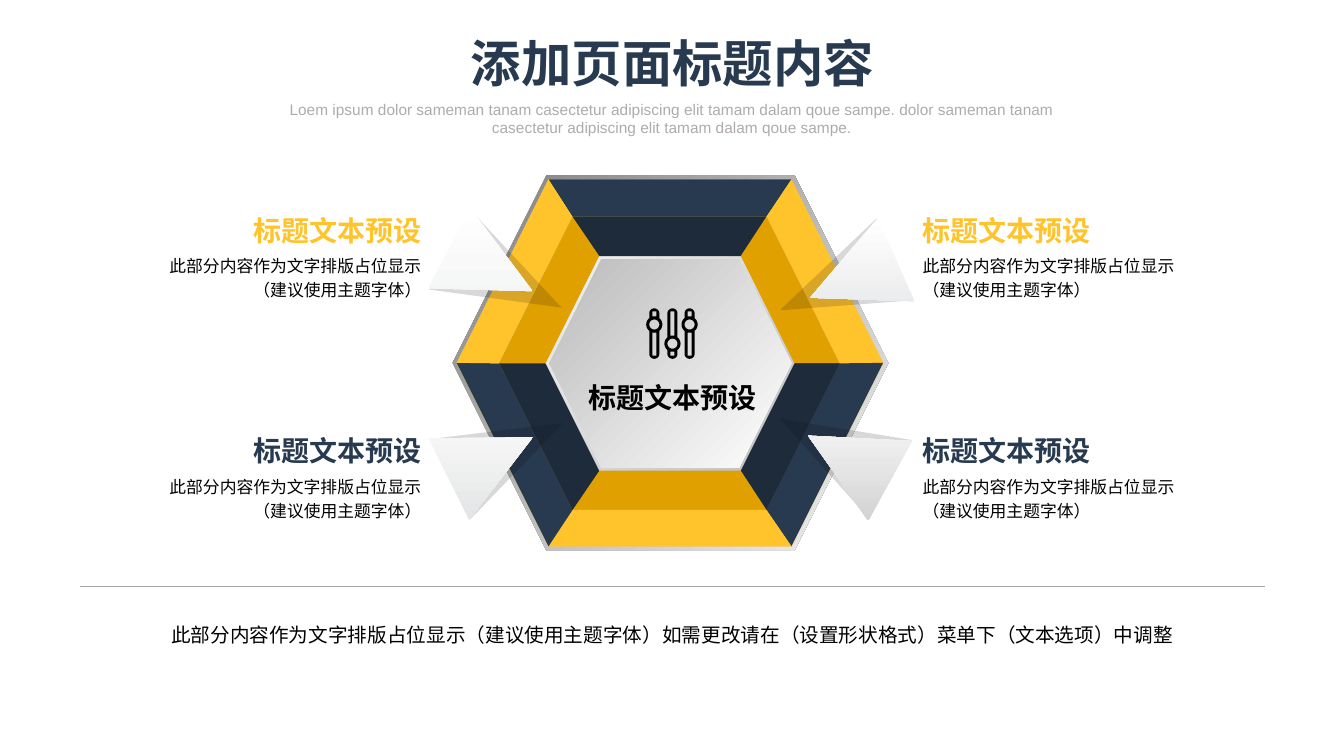
from math import acos, cos, degrees, radians, sin

from lxml.etree import SubElement
from pptx import Presentation
from pptx.dml.color import RGBColor
from pptx.enum.shapes import MSO_CONNECTOR, MSO_SHAPE as SHAPE
from pptx.enum.text import MSO_ANCHOR as ANCHOR, MSO_AUTO_SIZE as AUTO, PP_ALIGN as ALIGN
from pptx.oxml.ns import qn
from pptx.util import Pt

PX = 9144  # EMU in one px, 100 px to the inch
FONT = "Arial"
COLORS = {
    "navy": "273A4F", "navy_dark": "1D2B3B",
    "gold": "FFC32B", "gold_dark": "E0A000",
    "black": "000000", "shade": "0D0D0D", "white": "FFFFFF",
    "subtitle": "AFABAB", "rule": "A6A6A6",
    "rim_dark": "808080", "rim_light": "F2F2F2",
    "bevel": "BFBFBF", "face": "BABABA",
    "tip_1": "D3D3D4", "tip_2": "E2E3E4", "tip_3": "E4E5E6", "tip_4": "F0F1F1",
}


def emu(*lengths):
    return [round(n * PX) for n in lengths]


def rgb(name):
    return RGBColor.from_string(COLORS[name])


def arc(cx, cy, r, start, end, steps=16):
    """Points along an arc, in degrees clockwise from the right."""
    angles = [radians(start + (end - start) * i / steps) for i in range(steps + 1)]
    return [(cx + r * cos(a), cy + r * sin(a)) for a in angles]


def hexagon_corners(x, y, w, h):
    """Corners clockwise from the top left one."""
    inset, middle = h / 4, y + h / 2
    return [(x + inset, y), (x + w - inset, y), (x + w, middle),
            (x + w - inset, y + h), (x + inset, y + h), (x, middle)]


class Painter:
    def __init__(self, slide):
        self.shapes = slide.shapes

    def paint(self, sp, color, alpha=None):
        sp.shadow.inherit = False
        sp.line.fill.background()
        sp.fill.solid()
        sp.fill.fore_color.rgb = rgb(color)
        if alpha:
            clr = sp._element.spPr.find(qn("a:solidFill")).find(qn("a:srgbClr"))
            SubElement(clr, qn("a:alpha"), val=str(alpha * 1000))

    def shape(self, kind, box, color, rotation=0, alpha=None):
        sp = self.shapes.add_shape(kind, *emu(*box))
        sp.rotation = rotation
        self.paint(sp, color, alpha)
        return sp

    def gradient(self, kind, box, colors, angle, rotation=0):
        sp = self.shape(kind, box, colors[0], rotation)
        sp.fill.gradient()
        sp.fill.gradient_angle = 360 - angle
        for stop, color in zip(sp.fill.gradient_stops, colors):
            stop.color.rgb = rgb(color)
        sp._element.spPr.find(qn("a:gradFill")).set("rotWithShape", "0")

    def outline(self, contours, color):
        """One freeform; contours after the first are holes."""
        first, *holes = [[emu(*point) for point in c] for c in contours]
        builder = self.shapes.build_freeform(*first[0], scale=1.0)
        builder.add_line_segments(first[1:], close=True)
        for hole in holes:
            builder.move_to(*hole[0])
            builder.add_line_segments(hole[1:], close=True)
        self.paint(builder.convert_to_shape(), color)

    def text(self, box, text, size, color, align=ALIGN.CENTER, bold=False, wrap=True,
             inset=True, anchor=ANCHOR.TOP, spacing=None, grow=False):
        tf = self.shapes.add_textbox(*emu(*box)).text_frame
        tf.word_wrap = wrap
        tf.vertical_anchor = anchor
        tf.auto_size = AUTO.SHAPE_TO_FIT_TEXT if grow else AUTO.NONE
        if not inset:
            tf.margin_left = tf.margin_right = tf.margin_top = tf.margin_bottom = 0
        p = tf.paragraphs[0]
        p.text = text
        p.alignment = align
        if spacing:
            p.line_spacing = spacing
        p.font.name, p.font.size, p.font.bold = FONT, Pt(size), bold
        p.font.color.rgb = rgb(color)

    def line(self, x1, y1, x2, y2, color, width):
        sp = self.shapes.add_connector(MSO_CONNECTOR.STRAIGHT, *emu(x1, y1, x2, y2))
        sp.line.color.rgb = rgb(color)
        sp.line.width = Pt(width)
        SubElement(sp._element.spPr, qn("a:effectLst"))

    def fader(self, cx, knob_y):
        """Upright slider with a round knob."""
        top, bottom, half, knob, slot = 306, 356, 5, 8, 2
        bend = degrees(acos(half / knob))
        body = (arc(cx, top + half, half, 180, 360)
                + arc(cx, knob_y, knob, -bend, bend)
                + arc(cx, bottom - half, half, 0, 180)
                + arc(cx, knob_y, knob, 180 - bend, 180 + bend))
        slots = [[(cx - slot, y1), (cx + slot, y1), (cx + slot, y2), (cx - slot, y2)]
                 for y1, y2 in ((top + 3, knob_y - knob), (knob_y + knob, bottom - 3))]
        self.outline([body, arc(cx, knob_y, 5, 0, 360, 32), *slots], "black")


def main():
    prs = Presentation()
    prs.slide_width, prs.slide_height = emu(1333, 750)
    s = Painter(prs.slides.add_slide(prs.slide_layouts[6]))

    # Heading
    s.text((455, 27, 424, 71), "添加页面标题内容", 36, "navy", bold=True, wrap=False, grow=True)
    s.text((250, 94, 833, 66),
           "Loem ipsum dolor sameman tanam casectetur adipiscing elit tamam dalam qoue sampe. "
           "dolor sameman tanam casectetur adipiscing elit tamam dalam qoue sampe.",
           11, "subtitle", grow=True)

    # Nested hexagons
    outer, middle, inner = (453, 178, 423, 364), (495, 215, 338, 291), (541, 254, 247, 213)
    s.gradient(SHAPE.HEXAGON, (449, 174, 432, 372), ("rim_dark", "rim_light"), 45)
    s.shape(SHAPE.HEXAGON, outer, "gold")
    s.shape(SHAPE.HEXAGON, middle, "navy")
    s.gradient(SHAPE.HEXAGON, inner, ("bevel", "rim_light"), 225)
    s.gradient(SHAPE.HEXAGON, (545, 257, 240, 207), ("white", "face"), 225)

    # Ring sides in alternating colours, the inner ring darker
    for big, small, suffix in ((middle, inner, "_dark"), (outer, middle, "")):
        far, near = hexagon_corners(*big), hexagon_corners(*small)
        for i in range(6):
            j = (i + 1) % 6
            s.outline([[far[i], far[j], near[j], near[i]]], ("navy", "gold")[i % 2] + suffix)

    # Arrow tips, each over its shade
    tips = [
        (784, 383, 797, 408, 298.8, "tip_1"),
        (786, 220, 801, 230, 246.1, "tip_2"),
        (458, 385, 442, 408, 63.5, "tip_3"),
        (457, 214, 442, 221, 117.4, "tip_4"),
    ]
    for shade_x, shade_y, x, y, rotation, color in tips:
        s.shape(SHAPE.ISOSCELES_TRIANGLE, (shade_x, shade_y, 89, 125), "shade", rotation, 16)
        s.gradient(SHAPE.ISOSCELES_TRIANGLE, (x, y, 90, 93), ("white", color), 90, rotation)

    # Centre icon and label
    for cx, knob_y in ((649, 322), (667, 341), (684, 322)):
        s.fader(cx, knob_y)
    s.text((573, 373, 188, 44), "标题文本预设", 20, "black", bold=True, wrap=False)

    # Four captions
    for x, align in ((915, ALIGN.LEFT), (79, ALIGN.RIGHT)):
        for y, color in ((206, "gold"), (425, "navy")):
            s.text((x, y, 339, 44), "标题文本预设", 20, color, align, bold=True,
                   wrap=False, inset=False, anchor=ANCHOR.MIDDLE)
            s.text((x, y + 44, 339, 67), "此部分内容作为文字排版占位显示\n（建议使用主题字体）",
                   12, "black", align, inset=False, spacing=1.2)

    # Footer
    s.text((78, 608, 1178, 41),
           "此部分内容作为文字排版占位显示（建议使用主题字体）如需更改请在（设置形状格式）菜单下（文本选项）中调整",
           14, "black", spacing=1.2)
    s.line(79, 582, 1255, 582, "rule", 0.5)

    prs.save("out.pptx")


if __name__ == "__main__":
    main()
